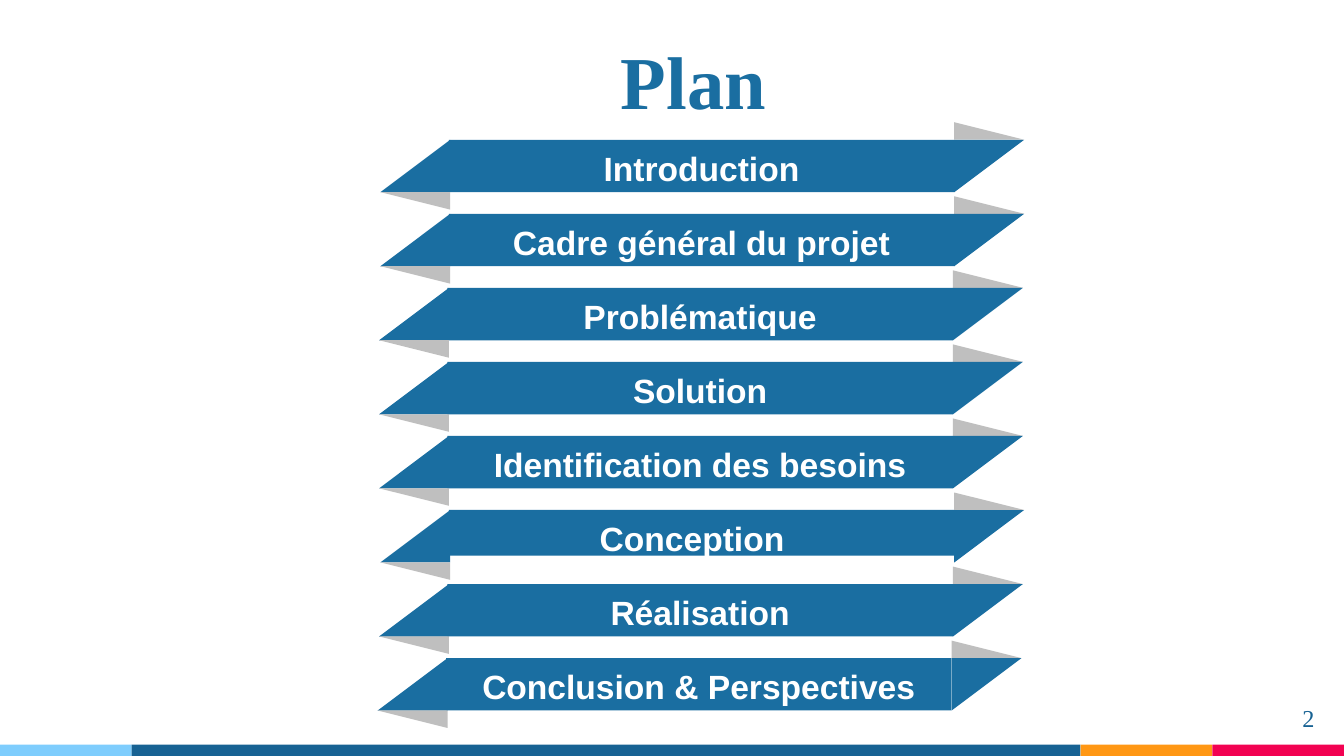
from pptx import Presentation
from pptx.dml.color import RGBColor
from pptx.enum.shapes import MSO_SHAPE
from pptx.enum.text import MSO_ANCHOR, MSO_AUTO_SIZE, PP_ALIGN
from pptx.util import Inches, Pt

BLUE = RGBColor(0x1A, 0x6E, 0xA1)
DARK_BLUE = RGBColor(0x17, 0x62, 0x93)
LIGHT_BLUE = RGBColor(0x7E, 0xCD, 0xFD)
ORANGE = RGBColor(0xFF, 0x97, 0x14)
PINK = RGBColor(0xF2, 0x02, 0x52)
GREY = RGBColor(0xBF, 0xBF, 0xBF)
WHITE = RGBColor(0xFF, 0xFF, 0xFF)

SERIF, SANS = "Times New Roman", "Arial"
SLIDE_W, SLIDE_H = 10, 5.625
WING_W, BODY_W, BAND_H, FOLD_H = 0.52, 3.76, 0.39, 0.13
FIRST_TOP, PITCH = 1.04, 0.551

BANDS = [
    ("Introduction", 2.83, BAND_H, 0),
    ("Cadre général du projet", 2.83, BAND_H, 0),
    ("Problématique", 2.82, BAND_H, 0),
    ("Solution", 2.82, BAND_H, 0),
    ("Identification des besoins", 2.82, BAND_H, 0),
    ("Conception", 2.83, 0.34, 0.14),
    ("Réalisation", 2.82, BAND_H, 0),
    ("Conclusion & Perspectives", 2.81, BAND_H, 0),
]


def paint(sp, color):
    sp.shadow.inherit = False
    sp.fill.solid()
    sp.fill.fore_color.rgb = color
    sp.line.fill.background()


def add_rect(slide, x, y, w, h, color):
    sp = slide.shapes.add_shape(
        MSO_SHAPE.RECTANGLE, Inches(x), Inches(y), Inches(w), Inches(h))
    paint(sp, color)
    return sp


def add_triangle(slide, points, color):
    start, *rest = [(Inches(x), Inches(y)) for x, y in points]
    builder = slide.shapes.build_freeform(*start)
    builder.add_line_segments(rest, close=True)
    paint(builder.convert_to_shape(), color)


def write(tf, text, font, size, color, bold=False, align=PP_ALIGN.LEFT):
    tf.text = text
    p = tf.paragraphs[0]
    p.alignment = align
    p.space_before = Pt(0)
    f = p.runs[0].font
    f.name, f.size, f.bold = font, Pt(size), bold
    f.color.rgb = color


def set_margins(tf, left=0, top=0, right=0):
    tf.margin_left, tf.margin_top = Inches(left), Inches(top)
    tf.margin_right, tf.margin_bottom = Inches(right), 0


def add_title(slide, x, y, w, h):
    sp = slide.shapes.title
    sp.left, sp.top, sp.width, sp.height = map(Inches, (x, y, w, h))
    tf = sp.text_frame
    tf.auto_size = MSO_AUTO_SIZE.NONE
    tf.vertical_anchor = MSO_ANCHOR.MIDDLE
    set_margins(tf, left=4.48, top=0.11)
    write(tf, "Plan", SERIF, 40, BLUE, bold=True)


def add_band(slide, x, y, text, body_h, right_inset):
    bottom = y + BAND_H
    inner_left = x + WING_W
    inner_right = x + WING_W + BODY_W - 0.01
    right = inner_right + WING_W
    add_triangle(slide, [(right, y), (inner_right, y),
                         (inner_right, y - FOLD_H)], GREY)
    body = add_rect(slide, inner_left - 0.01, y, BODY_W, body_h, BLUE)
    tf = body.text_frame
    tf.word_wrap = True
    tf.vertical_anchor = MSO_ANCHOR.TOP
    set_margins(tf, top=0.06, right=right_inset)
    write(tf, text, SANS, 18, WHITE, bold=True, align=PP_ALIGN.CENTER)
    add_triangle(slide, [(inner_left, bottom), (x, bottom),
                         (inner_left, y)], BLUE)
    add_triangle(slide, [(inner_left, bottom + FOLD_H), (x, bottom),
                         (inner_left, bottom)], GREY)
    add_triangle(slide, [(inner_right, bottom), (inner_right, y),
                         (right, y)], BLUE)


def add_footer(slide, x, y, w, h):
    small = 0.98
    widths = [(small, LIGHT_BLUE), (w - 3 * small, DARK_BLUE),
              (small, ORANGE), (small, PINK)]
    for width, color in widths:
        add_rect(slide, x, y, width, h, color)
        x += width


def add_page_number(slide, x, y, w, h):
    sp = slide.shapes.add_textbox(Inches(x), Inches(y), Inches(w), Inches(h))
    tf = sp.text_frame
    tf.word_wrap = True
    set_margins(tf, left=0.01, top=0.02)
    write(tf, "2", SERIF, 13, DARK_BLUE)


def main():
    prs = Presentation()
    prs.slide_width, prs.slide_height = Inches(SLIDE_W), Inches(SLIDE_H)
    slide = prs.slides.add_slide(prs.slide_layouts[5])
    add_footer(slide, 0, 5.54, SLIDE_W, SLIDE_H - 5.54)
    add_title(slide, 0.14, 0.1, 8.15, 0.88)
    add_page_number(slide, 9.68, 5.21, 0.12, 0.24)
    for i, (text, x, body_h, right_inset) in enumerate(BANDS):
        add_band(slide, x, FIRST_TOP + i * PITCH, text, body_h, right_inset)
    prs.save("out.pptx")


if __name__ == "__main__":
    main()
